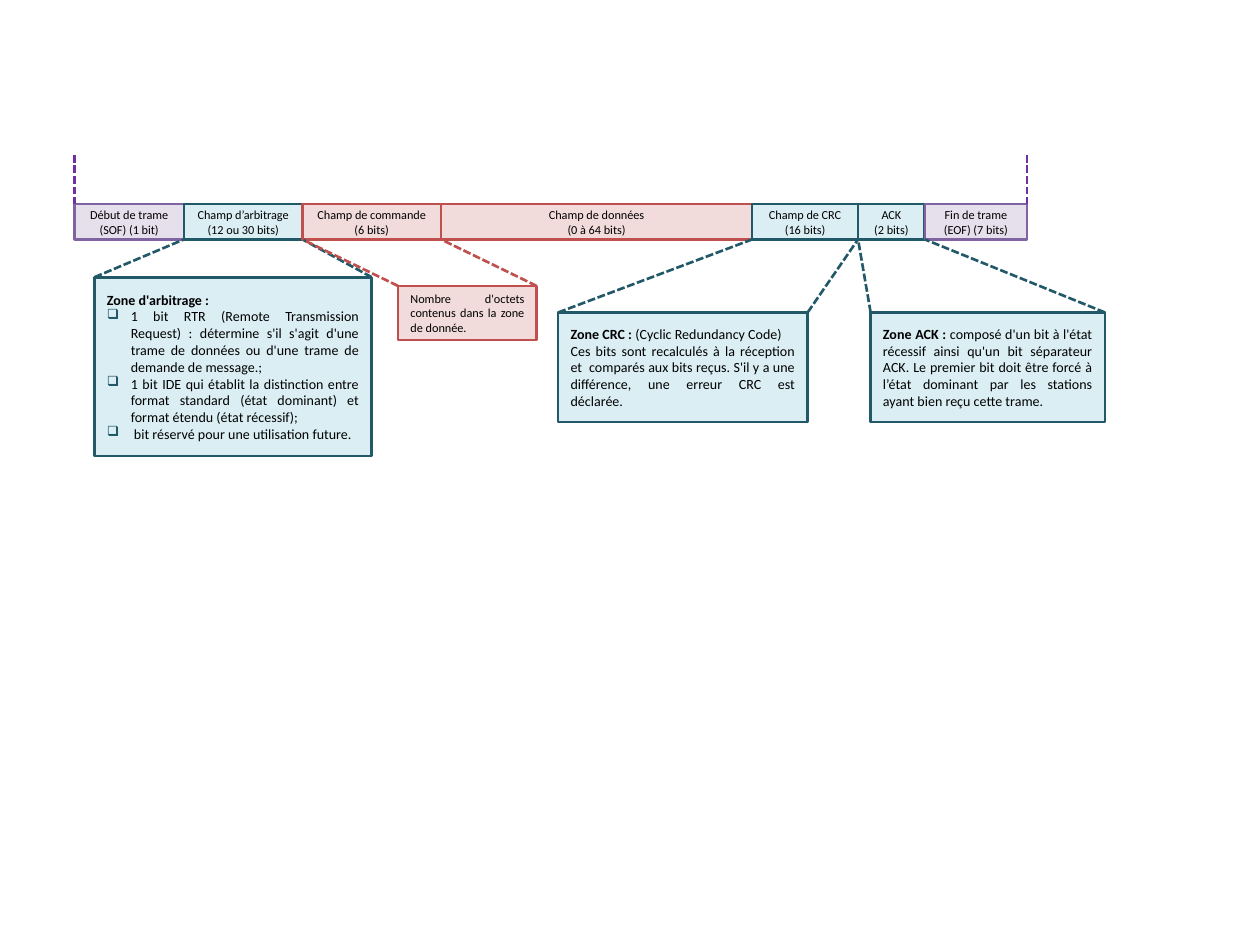
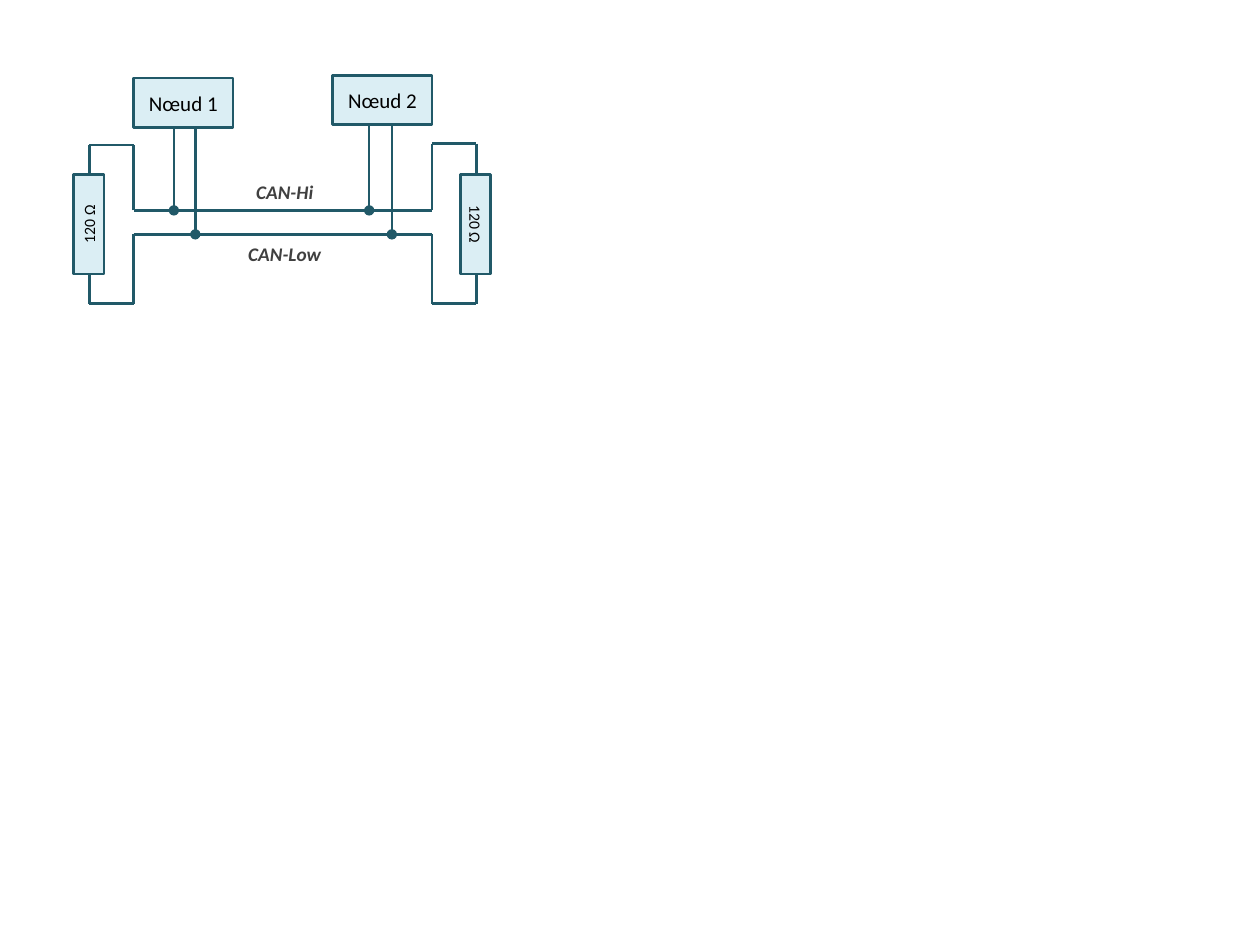
import lxml.etree
import pptx
import pptx.dml.color
import pptx.enum.dml
import pptx.enum.shapes
import pptx.enum.text
import pptx.oxml.ns
import pptx.util

Inches, Pt = pptx.util.Inches, pptx.util.Pt
qn = pptx.oxml.ns.qn
rgb = pptx.dml.color.RGBColor.from_string
ALIGN = pptx.enum.text.PP_ALIGN
LEFT, MID, FULL = ALIGN.LEFT, ALIGN.CENTER, ALIGN.JUSTIFY
FONT = "Calibri"
TEAL, RED, VIOLET, PURPLE = "215968", "C0504D", "8064A2", "7030A0"
FILL = {TEAL: "DBEEF4", RED: "F2DCDB", VIOLET: "E6E0EC"}


def box(slide, at, tone, size, paras, turn=0):
    """Draw a framed box; each paragraph is (align, bold lead, rest, bullet)."""
    shape = slide.shapes.add_shape(pptx.enum.shapes.MSO_SHAPE.RECTANGLE, *map(Inches, at))
    shape.shadow.inherit = False
    shape.rotation = turn
    shape.fill.solid()
    shape.fill.fore_color.rgb = rgb(FILL[tone])
    shape.line.color.rgb = rgb(tone)
    shape.line.width = Pt(1.5)
    frame = shape.text_frame
    frame.word_wrap = True
    frame.vertical_anchor = pptx.enum.text.MSO_ANCHOR.MIDDLE
    for i, (align, lead, rest, bullet) in enumerate(paras):
        para = frame.add_paragraph() if i else frame.paragraphs[0]
        para.alignment = align
        if bullet:
            props = para._p.get_or_add_pPr()
            props.set("marL", str(Inches(0.19)))
            props.set("indent", str(-Inches(0.19)))
            tint = lxml.etree.SubElement(props, qn("a:buClr"))
            lxml.etree.SubElement(tint, qn("a:srgbClr"), val=TEAL)
            lxml.etree.SubElement(props, qn("a:buChar"), char=bullet)
        para.font.name = FONT
        para.font.size = Pt(size)
        para.font.color.rgb = rgb("000000")
        for text, bold in ((lead, True), (rest, False)):
            if text:
                run = para.add_run()
                run.text = text
                run.font.bold = bold


def wire(slide, start, end, tone=TEAL, dash=False, dot=False):
    line = slide.shapes.add_connector(
        pptx.enum.shapes.MSO_CONNECTOR.STRAIGHT, *map(Inches, (*start, *end)))
    line.line.color.rgb = rgb(tone)
    line.line.width = Pt(1.5)
    if dash:
        line.line.dash_style = pptx.enum.dml.MSO_LINE.SQUARE_DOT
    props = line._element.spPr
    if dot:
        lxml.etree.SubElement(props.find(qn("a:ln")), qn("a:tailEnd"), type="oval")
    lxml.etree.SubElement(props, qn("a:effectLst"))


deck = pptx.Presentation()
deck.slide_width, deck.slide_height = Inches(10), Inches(7.5)
blank = deck.slide_layouts[6]

# Slide 1: fields of the CAN frame
slide = deck.slides.add_slide(blank)
top, base = 1.62, 1.9
edges = [0.59, 1.46, 2.4, 3.5, 5.97, 6.81, 7.34, 8.15]
fields = [
    ("Début de trame", "(SOF) (1 bit)", VIOLET),
    ("Champ d’arbitrage", "(12 ou 30 bits)", TEAL),
    ("Champ de commande", "(6 bits)", RED),
    ("Champ de données", "(0 à 64 bits)", RED),
    ("Champ de CRC", "(16 bits)", TEAL),
    ("ACK", "(2 bits)", TEAL),
    ("Fin de trame", "(EOF) (7 bits)", VIOLET),
]
for left, right, (name, bits, tone) in zip(edges, edges[1:], fields):
    box(slide, (left, top, right - left, base - top), tone, 7,
        [(MID, "", name, ""), (MID, "", bits, "")])

# Each note hangs from the field with the given index
notes = [
    (1, (0.75, 2.2, 2.2, 1.42), TEAL, 8, [
        (LEFT, "Zone d'arbitrage :", "", ""),
        (FULL, "", "1 bit RTR (Remote Transmission Request) : détermine s'il s'agit d'une "
                   "trame de données ou d'une trame de demande de message.;", "❑"),
        (FULL, "", "1 bit IDE qui établit la distinction entre format standard "
                   "(état dominant) et format étendu (état récessif);", "❑"),
        (FULL, "", " bit réservé pour une utilisation future.", "❑"),
    ]),
    (4, (4.43, 2.48, 1.98, 0.87), TEAL, 8, [
        (LEFT, "Zone CRC : ", "(Cyclic Redundancy Code)", ""),
        (FULL, "", "Ces bits sont recalculés à la réception et  comparés aux bits reçus. "
                   "S'il y a une différence, une erreur CRC est déclarée. ", ""),
    ]),
    (5, (6.91, 2.48, 1.86, 0.87), TEAL, 8, [
        (FULL, "Zone ACK :", " composé d'un bit à l'état récessif ainsi qu'un bit séparateur "
                             "ACK. Le premier bit doit être forcé à l’état dominant par les "
                             "stations ayant bien reçu cette trame. ", ""),
    ]),
    (2, (3.16, 2.27, 1.1, 0.43), RED, 7, [
        (FULL, "", "Nombre d'octets contenus dans la zone de donnée.", ""),
    ]),
]
for index, at, tone, size, paras in notes:
    box(slide, at, tone, size, paras)
    left, head, width, _ = at
    wire(slide, (left, head), (edges[index], base), tone, dash=True)
    wire(slide, (left + width, head), (edges[index + 1], base), tone, dash=True)
for x in (edges[0], edges[-1]):
    wire(slide, (x, 1.23), (x, top), PURPLE, dash=True)

# Slide 2: CAN bus with two nodes and two end resistors
slide = deck.slides.add_slide(blank)
high, low, floor = 1.67, 1.86, 2.41
for name, left, head in (("Nœud 1", 1.06, 0.62), ("Nœud 2", 2.64, 0.6)):
    box(slide, (left, head, 0.79, 0.39), TEAL, 12, [(MID, "", name, "")])

ends = [(0.71, 1.06, 1.15, 270), (3.78, 3.43, 1.14, 90)]
for outer, inner, roof, turn in ends:
    box(slide, (outer - 0.4, 1.66, 0.79, 0.24), TEAL, 9, [(MID, "", "120 Ω", "")], turn)
    for bus, rim, tip in ((high, roof, 1.39), (low, floor, 2.18)):
        wire(slide, (inner, bus), (inner, rim))
        wire(slide, (inner, rim), (outer, rim))
        wire(slide, (outer, rim), (outer, tip))
for bus in (high, low):
    wire(slide, (1.06, bus), (3.43, bus))
for x, head, bus in ((1.38, 1, high), (1.55, 1.02, low), (2.93, 0.98, high), (3.11, 1, low)):
    wire(slide, (x, head), (x, bus), dot=True)

for name, head in (("CAN-Hi", 1.38), ("CAN-Low", 1.87)):
    label = slide.shapes.add_textbox(*map(Inches, (1.59, head, 1.34, 0.29)))
    label.text_frame.word_wrap = True
    para = label.text_frame.paragraphs[0]
    para.text = name
    para.alignment = MID
    para.font.name = FONT
    para.font.size = Pt(11)
    para.font.bold = para.font.italic = True
    para.font.color.rgb = rgb("404040")

deck.save("out.pptx")
